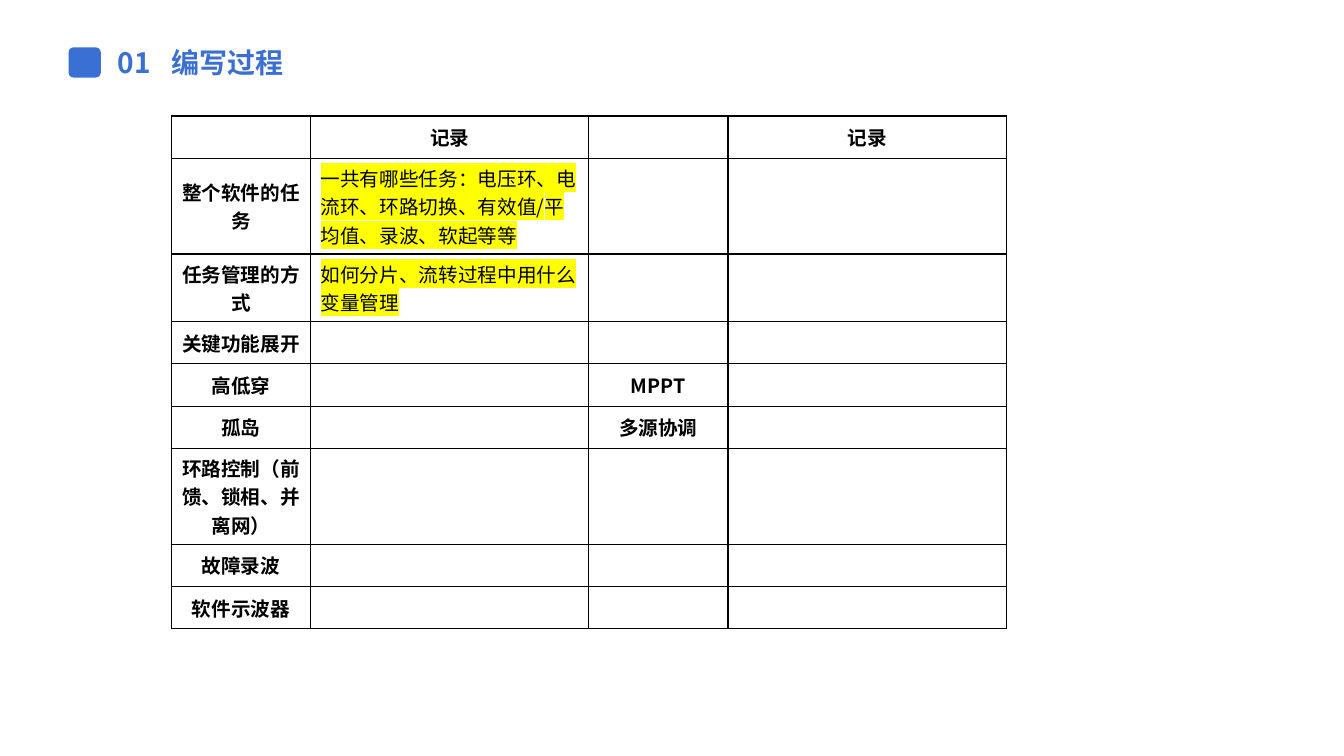
import pptx
import pptx.util
import pptx.dml.color
import pptx.enum.shapes
import pptx.enum.text
import pptx.oxml
import pptx.oxml.ns
import lxml.etree

Inches = pptx.util.Inches
Pt = pptx.util.Pt
qn = pptx.oxml.ns.qn
ENUM = pptx.enum.text
FONT = "Noto Sans CJK SC"
COLORS = {"blue": "3A70D3", "black": "000000", "mark": "FFFF00"}


def style(run, size, color, bold=True, mark=None):
    font = run.font
    font.size = Pt(size)
    font.bold = bold
    font.color.rgb = pptx.dml.color.RGBColor.from_string(COLORS[color])
    font.name = FONT
    props = run._r.get_or_add_rPr()
    latin = props.find(qn("a:latin"))
    east = lxml.etree.Element(qn("a:ea"), typeface=FONT)
    latin.addnext(east)
    if mark:
        light = lxml.etree.Element(qn("a:highlight"))
        lxml.etree.SubElement(light, qn("a:srgbClr"), val=COLORS[mark])
        latin.addprevious(light)


def border(cell):
    props = cell._tc.get_or_add_tcPr()
    for spot, side in enumerate(("lnL", "lnR", "lnT", "lnB")):
        line = lxml.etree.Element(qn("a:" + side), w=str(Pt(1)))
        fill = lxml.etree.SubElement(line, qn("a:solidFill"))
        lxml.etree.SubElement(fill, qn("a:srgbClr"), val=COLORS["black"])
        props.insert(spot, line)


deck = pptx.Presentation()
deck.slide_width = Inches(13.33)
deck.slide_height = Inches(7.5)
slide = deck.slides.add_slide(deck.slide_layouts[6])

badge = slide.shapes.add_shape(
    pptx.enum.shapes.MSO_SHAPE.ROUNDED_RECTANGLE,
    Inches(0.68), Inches(0.47), Inches(0.32), Inches(0.3))
badge.shadow.inherit = False
badge.fill.solid()
badge.fill.fore_color.rgb = pptx.dml.color.RGBColor.from_string(COLORS["blue"])
badge.line.fill.background()

for text, left, width in (("编写过程", 1.6, 3.56), ("01", 1.07, 0.63)):
    box = slide.shapes.add_textbox(Inches(left), Inches(0.4), Inches(width), Inches(0.35))
    frame = box.text_frame
    frame.word_wrap = True
    frame.margin_top = Inches(0.05)
    frame.margin_bottom = 0
    frame.text = text
    style(frame.paragraphs[0].runs[0], 20, "blue")

rows = [
    (1, "", "记录", "", "记录"),
    (3, "整个软件的任务", "一共有哪些任务：电压环、电流环、环路切换、有效值/平均值、录波、软起等等", "", ""),
    (2, "任务管理的方式", "如何分片、流转过程中用什么变量管理", "", ""),
    (1, "关键功能展开", "", "", ""),
    (1, "高低穿", "", "MPPT", ""),
    (1, "孤岛", "", "多源协调", ""),
    (3, "环路控制（前馈、锁相、并离网）", "", "", ""),
    (1, "故障录波", "", "", ""),
    (1, "软件示波器", "", "", ""),
]
widths = (1.38, 2.76, 1.38, 2.76)
heights = {1: 0.42, 2: 0.67, 3: 0.95}
total = sum(heights[row[0]] for row in rows)

table = slide.shapes.add_table(
    len(rows), len(widths), Inches(1.7), Inches(1.15),
    Inches(sum(widths)), Inches(total)).table
table.first_row = False
table.horz_banding = False
for col, width in zip(table.columns, widths):
    col.width = Inches(width)

for y, (lines, *texts) in enumerate(rows):
    table.rows[y].height = Inches(heights[lines])
    for x, text in enumerate(texts):
        cell = table.cell(y, x)
        cell.fill.background()
        border(cell)
        cell.vertical_anchor = ENUM.MSO_ANCHOR.MIDDLE
        if not text:
            continue
        cell.text_frame.text = text
        para = cell.text_frame.paragraphs[0]
        note = y > 0 and x == 1
        para.alignment = ENUM.PP_ALIGN.LEFT if note else ENUM.PP_ALIGN.CENTER
        style(para.runs[0], 14, "black", not note, "mark" if note else None)

deck.save("out.pptx")
